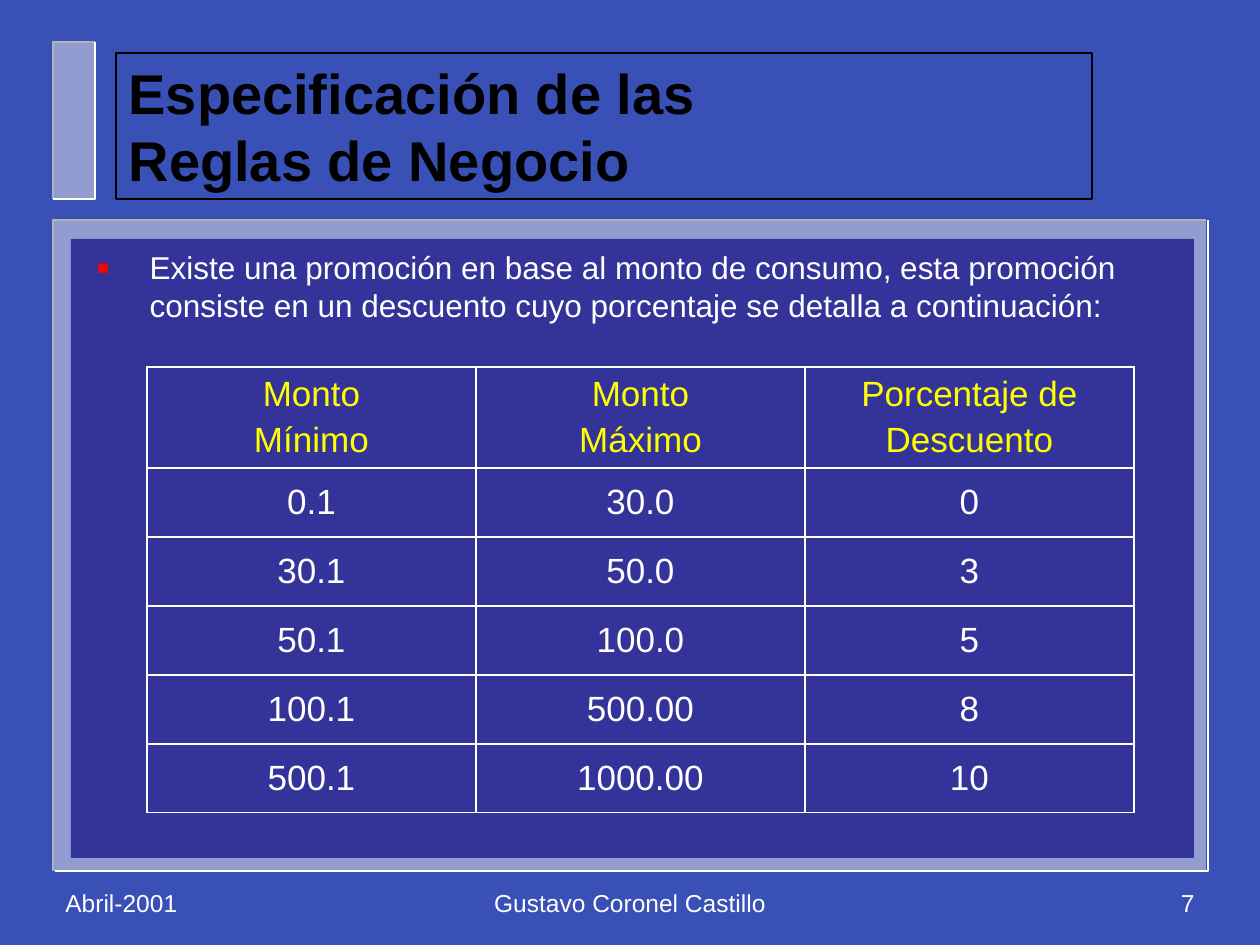
from lxml import etree
from pptx import Presentation
from pptx.dml.color import RGBColor
from pptx.enum.shapes import MSO_SHAPE
from pptx.enum.text import MSO_ANCHOR, MSO_AUTO_SIZE, PP_ALIGN
from pptx.oxml.ns import qn
from pptx.util import Pt

PX = 914400 // 126
FONT = "Arial"
COLORS = {
    "background": "3951B7", "panel": "333399", "frame": "EAEAEA",
    "shade": "B2B2B2", "white": "FFFFFF", "black": "000000",
    "header": "FFFF00", "bullet": "FF0000",
}
HEADERS = ["Monto\nMínimo", "Monto\nMáximo", "Porcentaje de\nDescuento"]
ROWS = [
    ["0.1", "30.0", "0"],
    ["30.1", "50.0", "3"],
    ["50.1", "100.0", "5"],
    ["100.1", "500.00", "8"],
    ["500.1", "1000.00", "10"],
]


def rgb(name):
    return RGBColor.from_string(COLORS[name])


def box(*lengths):
    return [length * PX for length in lengths]


def place(shape, *lengths):
    shape.left, shape.top, shape.width, shape.height = box(*lengths)


def write(frame, text, size, color, align=PP_ALIGN.LEFT, bold=False, before=0):
    frame.text = text
    for paragraph in frame.paragraphs:
        paragraph.alignment = align
        paragraph.space_before = Pt(before)
        for run in paragraph.runs:
            font = run.font
            font.name, font.size, font.bold = FONT, Pt(size), bold
            font.color.rgb = rgb(color)


def add_panel(slide, color, area, alpha=None):
    panel = slide.shapes.add_shape(MSO_SHAPE.RECTANGLE, *box(*area))
    panel.shadow.inherit = False
    panel.fill.solid()
    panel.fill.fore_color.rgb = rgb(color)
    panel.line.fill.background()
    if alpha:
        tint = panel.fill._xPr.find(qn("a:solidFill"))[0]
        etree.SubElement(tint, qn("a:alpha"), val=str(alpha * 1000))


def add_edge(slide, color, points):
    builder = slide.shapes.build_freeform(*points[0], scale=PX)
    builder.add_line_segments(points[1:], close=False)
    edge = builder.convert_to_shape()
    edge.shadow.inherit = False
    edge.fill.background()
    edge.line.color.rgb = rgb(color)
    edge.line.width = Pt(1)


def add_bevel(slide, left, top, width, height, offset=0):
    right, bottom = left + width, top + height
    add_panel(slide, "frame", (left, top, width, height), alpha=50)
    add_edge(slide, "shade", [(right, top), (left, top), (left, bottom)])
    add_edge(slide, "white", [(right + offset, top), (right + offset, bottom),
                              (left + offset, bottom)])


def add_footer(slide, text, left, width, align):
    footer = slide.shapes.add_textbox(*box(left, 871, width, 63))
    footer.text_frame.word_wrap = True
    footer.text_frame.vertical_anchor = MSO_ANCHOR.MIDDLE
    write(footer.text_frame, text, 14, "white", align)


def set_title(slide, text):
    title = slide.shapes.title
    place(title, 116, 53, 976, 146)
    title.line.color.rgb = rgb("black")
    title.line.width = Pt(1)
    frame = title.text_frame
    frame.auto_size = MSO_AUTO_SIZE.NONE
    frame.vertical_anchor = MSO_ANCHOR.MIDDLE
    write(frame, text, 32, "black", bold=True)


def set_bullet(slide, text):
    body = slide.placeholders[1]
    body.element.getparent().append(body.element)
    place(body, 84, 242, 1113, 88)
    body.text_frame.auto_size = MSO_AUTO_SIZE.NONE
    write(body.text_frame, text, 18, "white")
    props = body.text_frame.paragraphs[0]._p.get_or_add_pPr()
    props.set("marL", str(53 * PX))
    props.set("indent", str(-53 * PX))
    color = etree.SubElement(props, qn("a:buClr"))
    etree.SubElement(color, qn("a:srgbClr"), val=COLORS["bullet"])
    etree.SubElement(props, qn("a:buSzPct"), val="120000")
    etree.SubElement(props, qn("a:buFont"), typeface=FONT)
    etree.SubElement(props, qn("a:buChar"), char="▪")


def format_cell(cell, text, color):
    cell.margin_left = cell.margin_right = 5 * PX
    cell.margin_top = cell.margin_bottom = 5 * PX
    cell.vertical_anchor = MSO_ANCHOR.MIDDLE
    write(cell.text_frame, text, 20, color, PP_ALIGN.CENTER, before=4)
    props = cell._tc.get_or_add_tcPr()
    for side in ("lnL", "lnR", "lnT", "lnB"):
        border = etree.SubElement(props, qn("a:" + side), w=str(Pt(1)))
        fill = etree.SubElement(border, qn("a:solidFill"))
        etree.SubElement(fill, qn("a:srgbClr"), val=COLORS["white"])
    cell.fill.background()


def add_discounts(slide):
    data = [HEADERS] + ROWS
    area = box(147, 367, 987, 441)
    table = slide.shapes.add_table(len(data), len(HEADERS), *area).table
    table.first_row = table.horz_banding = False
    for column in table.columns:
        column.width = 329 * PX
    for index, values in enumerate(data):
        table.rows[index].height = (69 if index else 96) * PX
        for cell, value in zip(table.rows[index].cells, values):
            format_cell(cell, value, "white" if index else "header")


def main():
    deck = Presentation()
    deck.slide_width, deck.slide_height = box(1260, 945)
    slide = deck.slides.add_slide(deck.slide_layouts[1])
    slide.background.fill.solid()
    slide.background.fill.fore_color.rgb = rgb("background")
    add_bevel(slide, 53, 220, 1153, 651, offset=2)
    add_bevel(slide, 53, 42, 42, 157)
    add_footer(slide, "Abril-2001", 53, 262, PP_ALIGN.LEFT)
    add_footer(slide, "Gustavo Coronel Castillo", 430, 400, PP_ALIGN.CENTER)
    add_footer(slide, "7", 945, 262, PP_ALIGN.RIGHT)
    set_title(slide, "Especificación de las\vReglas de Negocio")
    add_panel(slide, "panel", (71, 239, 1123, 619))
    add_discounts(slide)
    set_bullet(slide, "Existe una promoción en base al monto de consumo, esta "
                      "promoción consiste en un descuento cuyo porcentaje se "
                      "detalla a continuación:")
    deck.save("out.pptx")


main()
